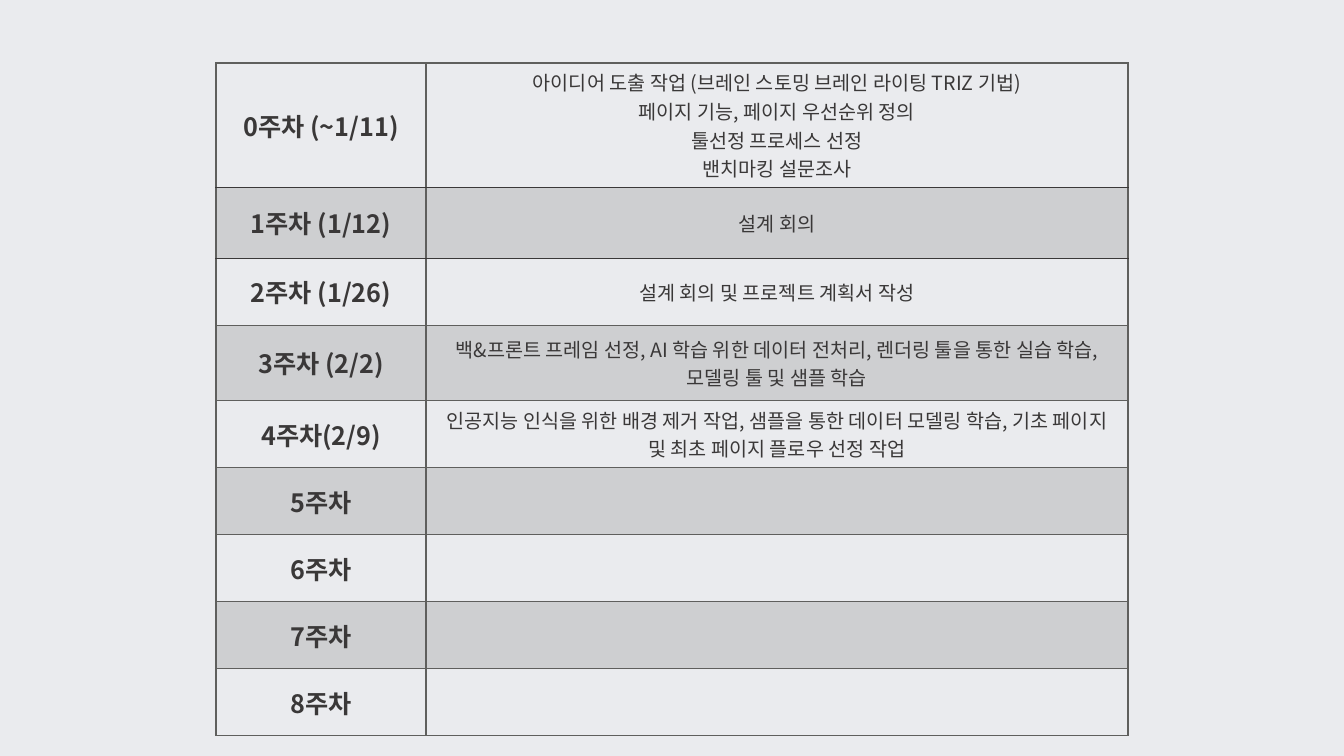
from lxml.etree import SubElement
from pptx import Presentation
from pptx.dml.color import RGBColor
from pptx.enum.text import MSO_ANCHOR as Anchor, PP_ALIGN as Align
from pptx.oxml.ns import qn
from pptx.util import Emu, Pt

SLIDE_W, SLIDE_H = 1344, 756
SCALE = 12192000 / SLIDE_W
FONT = "Noto Sans CJK KR"
BACKGROUND, INK, GREY = "EAEBEE", "3A3838", "5F5F5D"
SHADE_ALPHA = 20

LEFT, TOP = 216, 63
COL_WIDTHS = [210, 702]
# week, tasks (one paragraph each), row height in px
SCHEDULE = [
    ("0주차 (~1/11)", ["아이디어 도출 작업 (브레인 스토밍 브레인 라이팅 TRIZ 기법)",
                     "페이지 기능, 페이지 우선순위 정의",
                     "툴선정 프로세스 선정",
                     "밴치마킹 설문조사"], 75),
    ("1주차 (1/12)", ["설계 회의"], 71),
    ("2주차 (1/26)", ["설계 회의 및 프로젝트 계획서 작성"], 67),
    ("3주차 (2/2)", ["백&프론트 프레임 선정, AI 학습 위한 데이터 전처리, "
                   "렌더링 툴을 통한 실습 학습, 모델링 툴 및 샘플 학습"], 75),
    ("4주차(2/9)", ["인공지능 인식을 위한 배경 제거 작업, 샘플을 통한 데이터 모델링 학습, "
                  "기초 페이지 및 최초 페이지 플로우 선정 작업"], 67),
    *[(f"{week}주차", [], 67) for week in range(5, 9)],
]
DARK_RULES = {1, 2}  # horizontal rules, counted from the table's top


def px(n):
    return Emu(round(n * SCALE))


def rgb(color):
    return RGBColor.from_string(color)


class SlideBuilder:
    def __init__(self, prs):
        self.font = FONT
        self.s = prs.slides.add_slide(prs.slide_layouts[6])

    def background(self, color):
        fill = self.s.background.fill
        fill.solid()
        fill.fore_color.rgb = rgb(color)

    def table(self, left, top, col_widths, row_heights):
        frame = self.s.shapes.add_table(
            len(row_heights), len(col_widths), px(left), px(top),
            px(sum(col_widths)), px(sum(row_heights)))
        table = frame.table
        table.first_row = table.horz_banding = False
        for col, width in zip(table.columns, col_widths):
            col.width = px(width)
        for row, height in zip(table.rows, row_heights):
            row.height = px(height)
        return table

    def borders(self, cell, left, right, top, bottom):
        tcPr = cell._tc.get_or_add_tcPr()
        for side, color in zip("LRTB", (left, right, top, bottom)):
            ln = SubElement(tcPr, qn(f"a:ln{side}"), w=str(Pt(1)))
            fill = SubElement(ln, qn("a:solidFill"))
            SubElement(fill, qn("a:srgbClr"), val=color)

    def shade(self, cell, color, alpha):
        cell.fill.solid()
        cell.fill.fore_color.rgb = rgb(color)
        clr = cell._tc.tcPr.find(qn("a:solidFill")).find(qn("a:srgbClr"))
        SubElement(clr, qn("a:alpha"), val=str(alpha * 1000))

    def text(self, cell, lines, size, bold):
        cell.vertical_anchor = Anchor.MIDDLE
        tf = cell.text_frame
        for i, line in enumerate(lines):
            p = tf.add_paragraph() if i else tf.paragraphs[0]
            p.alignment = Align.CENTER
            r = p.add_run()
            r.text = line
            r.font.size, r.font.bold, r.font.name = Pt(size), bold, self.font
            r.font.color.rgb = rgb(INK)
            SubElement(r.font._element, qn("a:ea"), typeface=self.font)


def main():
    prs = Presentation()
    prs.slide_width, prs.slide_height = px(SLIDE_W), px(SLIDE_H)
    slide = SlideBuilder(prs)
    slide.background(BACKGROUND)
    table = slide.table(LEFT, TOP, COL_WIDTHS, [h for *_, h in SCHEDULE])
    rules = [INK if i in DARK_RULES else GREY for i in range(len(SCHEDULE) + 1)]
    for i, (week, tasks, _) in enumerate(SCHEDULE):
        columns = [([week], 18, True), (tasks, 14, False)]
        for j, (lines, size, bold) in enumerate(columns):
            cell = table.cell(i, j)
            slide.borders(cell, GREY, GREY, rules[i], rules[i + 1])
            if i % 2:
                slide.shade(cell, GREY, SHADE_ALPHA)
            else:
                cell.fill.background()
            slide.text(cell, lines, size, bold)
    prs.save("out.pptx")


if __name__ == "__main__":
    main()
